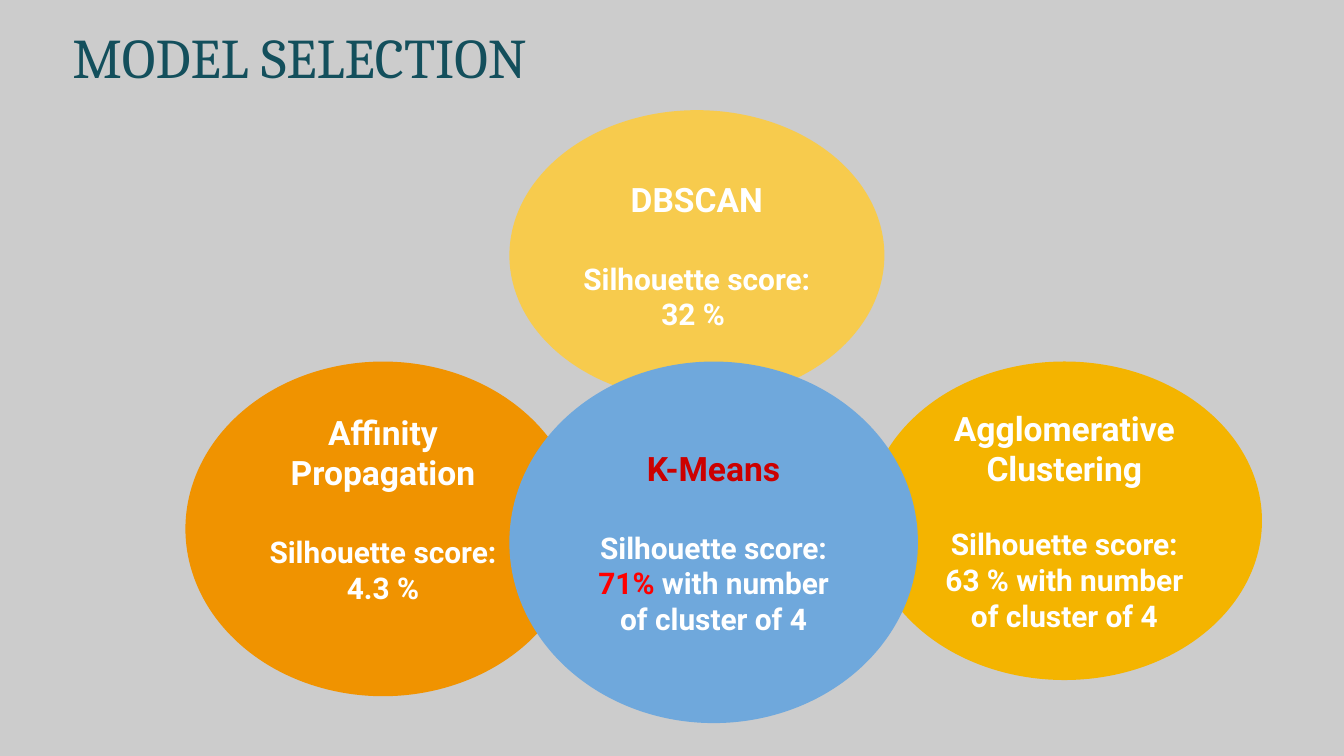
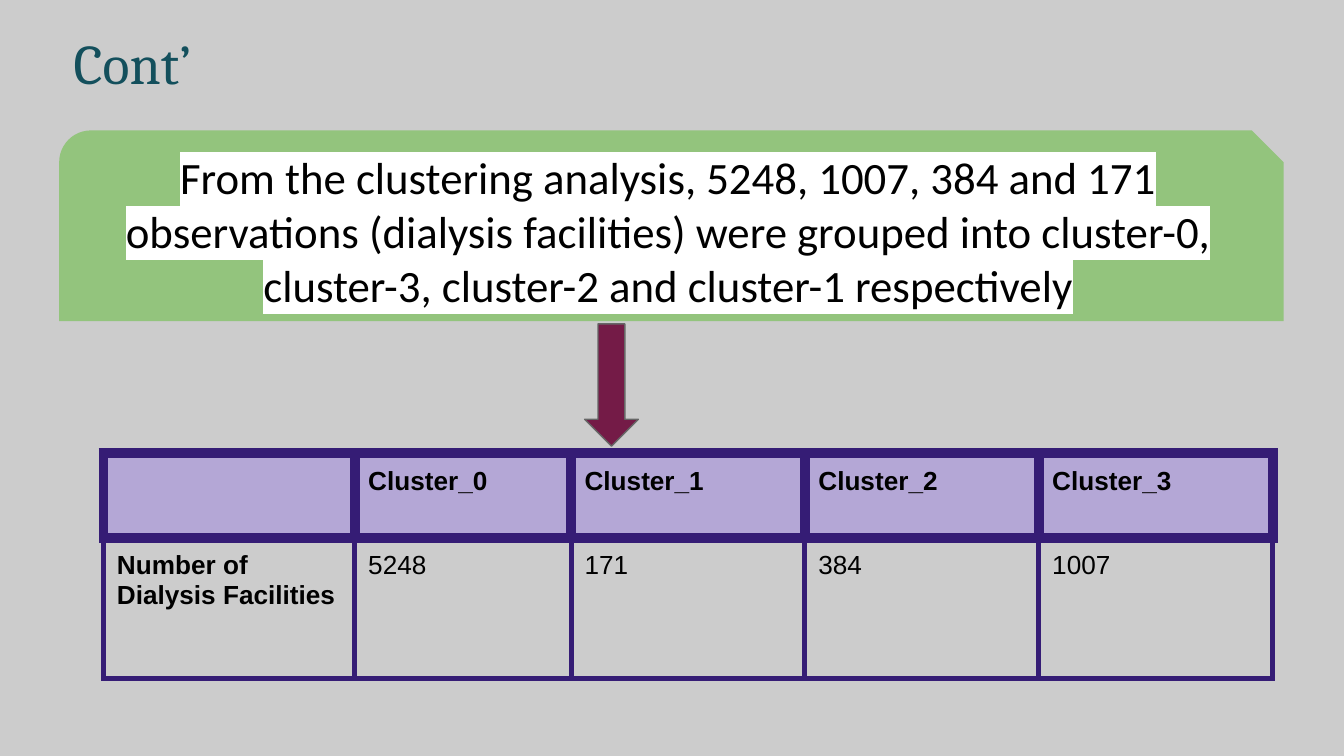
from lxml import etree
from pptx import Presentation
from pptx.dml.color import RGBColor
from pptx.enum.shapes import MSO_SHAPE
from pptx.enum.text import MSO_ANCHOR, PP_ALIGN
from pptx.oxml.ns import qn
from pptx.util import Inches, Pt

BACKGROUND, TITLE_COLOR, WHITE, BLACK = "CCCCCC", "134F5C", "FFFFFF", "000000"
HEADER_FILL, BORDER = "B4A7D6", "351C75"
MARGIN = 0.1

# name, name colour, box, fill, gap under the name (pt), extra bottom inset,
# and the score lines, each a list of (text, colour)
MODELS = [
    ("DBSCAN", WHITE, (3.79, 0.82, 2.79, 2.16), "F7CB4D", 22, 0,
     [[("Silhouette score: 32 % ", WHITE)]]),
    ("Affinity Propagation", WHITE, (1.38, 2.69, 2.94, 2.49), "F09300", 22, 0.3,
     [[("Silhouette score: 4.3 %", WHITE)]]),
    ("Agglomerative Clustering", WHITE, (6.45, 2.69, 2.94, 2.37), "F4B400", 20, 0,
     [[("Silhouette score:", WHITE)],
      [("63 % with number of cluster of 4", WHITE)]]),
    ("K-Means", "CC0000", (3.79, 2.69, 3.04, 2.69), "6FA8DC", 22, 0,
     [[("Silhouette score:", WHITE)],
      [("71%", "FF0000"), (" with number of cluster of 4", WHITE)]]),
]
FINDING = ("From the clustering analysis, 5248, 1007, 384 and 171 observations "
           "(dialysis facilities) were grouped into cluster-0, cluster-3, "
           "cluster-2 and cluster-1 respectively")
CLUSTER_ROWS = [
    ["", "Cluster_0", "Cluster_1", "Cluster_2", "Cluster_3"],
    ["Number of Dialysis Facilities", "5248", "171", "384", "1007"],
]
COLUMN_WIDTHS = [1.87, 1.61, 1.74, 1.74, 1.74]
ROW_HEIGHTS = [0.63, 1.05]


def rgb(color):
    return RGBColor.from_string(color)


def inches(box):
    return [Inches(length) for length in box]


def set_margins(target, top=MARGIN, bottom=MARGIN):
    target.margin_left = target.margin_right = Inches(MARGIN)
    target.margin_top, target.margin_bottom = Inches(top), Inches(bottom)


def write(paragraph, text, size=16, font="Roboto", color=BLACK, bold=False,
          align=PP_ALIGN.CENTER, gap=0, highlight=None):
    """Append one formatted run; gap is the space before the paragraph in points."""
    paragraph.alignment = align
    paragraph.space_before = Pt(gap)
    run = paragraph.add_run()
    run.text = text
    run.font.size, run.font.name, run.font.bold = Pt(size), font, bold
    run.font.color.rgb = rgb(color)
    if highlight:
        mark = etree.Element(qn("a:highlight"))
        etree.SubElement(mark, qn("a:srgbClr"), val=highlight)
        run.font._element.find(qn("a:solidFill")).addnext(mark)


def add_slide(deck, title, title_box):
    slide = deck.slides.add_slide(deck.slide_layouts[6])
    slide.background.fill.solid()
    slide.background.fill.fore_color.rgb = rgb(BACKGROUND)
    frame = slide.shapes.add_textbox(*inches(title_box)).text_frame
    frame.word_wrap = True
    frame.vertical_anchor = MSO_ANCHOR.BOTTOM
    set_margins(frame)
    write(frame.paragraphs[0], title, size=30, font="Cambria",
          color=TITLE_COLOR, align=PP_ALIGN.LEFT)
    return slide


def add_filled(slide, preset, box, fill, line=None):
    shape = slide.shapes.add_shape(preset, *inches(box))
    shape.shadow.inherit = False
    shape.fill.solid()
    shape.fill.fore_color.rgb = rgb(fill)
    if line:
        shape.line.color.rgb = rgb(line)
        shape.line.width = Pt(0.75)
    else:
        shape.line.fill.background()
    frame = shape.text_frame
    frame.word_wrap = True
    frame.vertical_anchor = MSO_ANCHOR.MIDDLE
    set_margins(frame)
    return shape


def add_model(slide, name, name_color, box, fill, gap, lift, score_lines):
    frame = add_filled(slide, MSO_SHAPE.OVAL, box, fill).text_frame
    if lift:
        set_margins(frame, top=0, bottom=lift)
    write(frame.paragraphs[0], name, size=18, color=name_color, bold=True)
    for index, line in enumerate(score_lines):
        paragraph = frame.add_paragraph()
        for text, color in line:
            write(paragraph, text, color=color, bold=True,
                  gap=0 if index else gap)


def set_borders(cell, widths):
    """Draw the left, right, top and bottom borders with widths in points."""
    properties = cell._tc.get_or_add_tcPr()
    for index, (side, width) in enumerate(zip("LRTB", widths)):
        border = etree.Element(qn(f"a:ln{side}"), w=str(Pt(width)))
        fill = etree.SubElement(border, qn("a:solidFill"))
        etree.SubElement(fill, qn("a:srgbClr"), val=BORDER)
        properties.insert(index, border)


def add_cluster_table(slide, left, top):
    box = (left, top, sum(COLUMN_WIDTHS), sum(ROW_HEIGHTS))
    table = slide.shapes.add_table(
        len(ROW_HEIGHTS), len(COLUMN_WIDTHS), *inches(box)).table
    table.first_row = table.horz_banding = False
    for column, width in zip(table.columns, COLUMN_WIDTHS):
        column.width = Inches(width)
    for r, (values, height) in enumerate(zip(CLUSTER_ROWS, ROW_HEIGHTS)):
        table.rows[r].height = Inches(height)
        header = r == 0
        for c, value in enumerate(values):
            cell = table.cell(r, c)
            set_margins(cell)
            if header:
                cell.fill.solid()
                cell.fill.fore_color.rgb = rgb(HEADER_FILL)
            else:
                cell.fill.background()
            set_borders(cell, (6, 6, 6, 6) if header else (3, 3, 6, 3))
            if value:
                write(cell.text_frame.paragraphs[0], value, size=14,
                      font="Arial", bold=header or c == 0, align=PP_ALIGN.LEFT)


def main():
    deck = Presentation()
    deck.slide_width = Inches(10)
    deck.slide_height = deck.slide_width * 9 // 16

    selection = add_slide(deck, "MODEL SELECTION", (0.44, 0.22, 5, 0.55))
    for model in MODELS:
        add_model(selection, *model)

    clusters = add_slide(deck, "Cont’", (0.45, 0.26, 4.3, 0.55))
    add_cluster_table(clusters, 0.77, 3.37)
    banner = add_filled(clusters, MSO_SHAPE.SNIP_ROUND_RECTANGLE,
                        (0.44, 0.97, 9.11, 1.42), "93C47D")
    write(banner.text_frame.paragraphs[0], FINDING, size=24, font="Calibri",
          highlight=WHITE)
    add_filled(clusters, MSO_SHAPE.DOWN_ARROW, (4.35, 2.41, 0.4, 0.91),
               "741B47", line="666666")

    deck.save("out.pptx")


if __name__ == "__main__":
    main()
